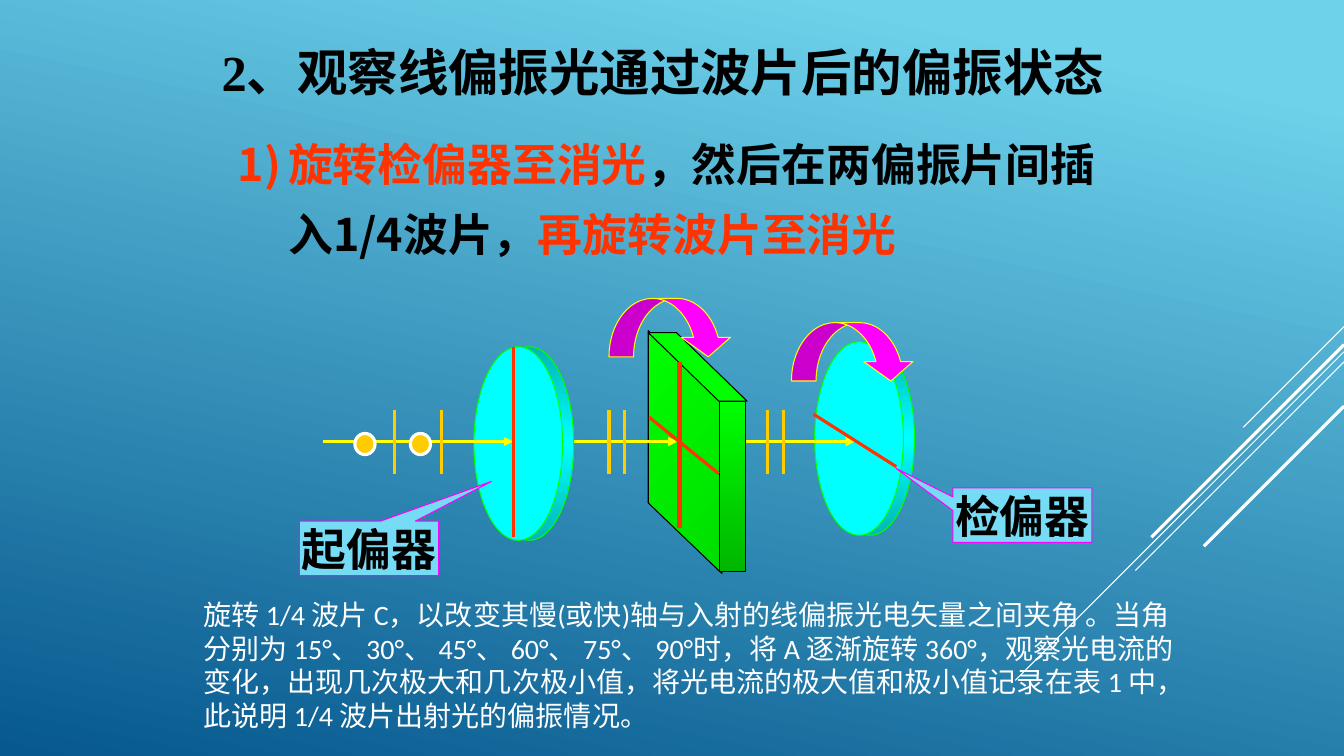
import copy

import pptx
import pptx.dml.color
import pptx.enum.shapes
import pptx.enum.text
import pptx.oxml
import pptx.oxml.ns
import pptx.util

RGBColor = pptx.dml.color.RGBColor
Inches = pptx.util.Inches
Pt = pptx.util.Pt
Preset = pptx.enum.shapes.MSO_SHAPE
qn = pptx.oxml.ns.qn

BLACK = RGBColor(0x00, 0x00, 0x00)
WHITE = RGBColor(0xFF, 0xFF, 0xFF)
SKY = RGBColor(0x6E, 0xD2, 0xEB)
NAVY = RGBColor(0x06, 0x58, 0x8E)
PALE_BLUE = RGBColor(0x76, 0xDB, 0xF4)
RED = RGBColor(0xFF, 0x33, 0x00)
YELLOW = RGBColor(0xFF, 0xFF, 0x00)
AMBER = RGBColor(0xFF, 0xCC, 0x00)
MAGENTA = RGBColor(0xFF, 0x00, 0xFF)
CYAN = RGBColor(0x00, 0xFF, 0xFF)
TEAL = RGBColor(0x00, 0xB6, 0xB6)
GREEN = RGBColor(0x00, 0xFF, 0x00)
MID_GREEN = RGBColor(0x00, 0xDE, 0x00)
DARK_GREEN = RGBColor(0x00, 0xB6, 0x00)
CJK = "Noto Sans CJK SC"
SERIF = "Times New Roman"


class Painter:
    """Draws the optical bench diagram and its text on one page."""

    def __init__(self, page):
        self.page = page
        self.shapes = page.shapes
        self.names = pptx.oxml.ns.nsdecls("a")

    def gradient(self, fill, element, stops, angle):
        fill.gradient()
        fill.gradient_angle = 360 - angle
        stop_list = element.find(".//" + qn("a:gsLst"))
        while len(stop_list) < len(stops):
            stop_list.append(copy.deepcopy(stop_list[0]))
        for stop, (position, color) in zip(fill.gradient_stops, stops):
            stop.position = position
            stop.color.rgb = color

    def paint(self, shape, fill, line, width=0.75, angle=90):
        shape.shadow.inherit = False
        if isinstance(fill, list):
            self.gradient(shape.fill, shape._element, fill, angle)
        else:
            shape.fill.solid()
            shape.fill.fore_color.rgb = fill
        shape.line.color.rgb = line
        shape.line.width = Pt(width)
        return shape

    def preset(self, kind, box, fill, line, width=0.75, adjust=()):
        shape = self.shapes.add_shape(kind, *map(Inches, box))
        for index, value in enumerate(adjust):
            shape.adjustments[index] = value
        return self.paint(shape, fill, line, width)

    def outline(self, points, fill, angle=90):
        corners = [(Inches(x), Inches(y)) for x, y in points]
        builder = self.shapes.build_freeform(*corners[0], scale=1.0)
        builder.add_line_segments(corners[1:], close=True)
        return self.paint(builder.convert_to_shape(), fill, BLACK, angle=angle)

    def line(self, start, end, color, width=2.25, arrow=False):
        connector = self.shapes.add_connector(
            pptx.enum.shapes.MSO_CONNECTOR.STRAIGHT, *map(Inches, start + end))
        connector.line.color.rgb = color
        connector.line.width = Pt(width)
        properties = connector._element.spPr
        if arrow:
            tail = pptx.oxml.parse_xml(f'<a:tailEnd {self.names} type="triangle"/>')
            properties.find(qn("a:ln")).append(tail)
        properties.append(pptx.oxml.parse_xml(f'<a:effectLst {self.names}/>'))

    def beam(self, start, end):
        self.line((start, 4.38), (end, 4.38), YELLOW, arrow=True)

    def ticks(self, *positions):
        for x in positions:
            self.line((x, 4.07), (x, 4.7), AMBER)

    def disc(self, left, top):
        rim = [(0, TEAL), (0.5, CYAN), (1, TEAL)]
        for shift, fill in ((0.11, rim), (0, CYAN)):
            self.preset(Preset.OVAL, (left + shift, top, 0.88, 1.92), fill, GREEN)

    def turn_arrow(self, left, top):
        self.preset(Preset.CURVED_DOWN_ARROW, (left, top, 1.23, 0.58), MAGENTA, YELLOW,
                    adjust=(0.421, 0.843, 0.333))

    def compose(self, frame, pieces, size, font, bold=True):
        para = frame.paragraphs[0]
        for text, color in pieces:
            span = para.add_run()
            span.text = text
            if len(pieces) > 1:
                span.font.color.rgb = color
        para.font.size = Pt(size)
        para.font.bold = bold
        if len(pieces) == 1:
            para.font.color.rgb = pieces[0][1]
        para.font.name = font
        east = pptx.oxml.parse_xml(f'<a:ea {self.names} typeface="{CJK}"/>')
        para._p.pPr.find(qn("a:defRPr")).append(east)
        return para

    def text(self, box, pieces, size, font, bold=True, wrap=True):
        frame = self.shapes.add_textbox(*map(Inches, box)).text_frame
        frame.word_wrap = wrap
        return self.compose(frame, pieces, size, font, bold)

    def number(self, para, color):
        properties = para._p.pPr
        properties.set("marL", str(Inches(0.5)))
        properties.set("indent", str(-Inches(0.5)))
        for markup in (f'<a:buClr {self.names}><a:srgbClr val="{color}"/></a:buClr>',
                       f'<a:buFont {self.names} typeface="{CJK}"/>',
                       f'<a:buAutoNum {self.names} type="arabicParenR"/>'):
            properties.find(qn("a:defRPr")).addprevious(pptx.oxml.parse_xml(markup))

    def callout(self, left, top, label, adjust):
        shape = self.preset(Preset.RECTANGULAR_CALLOUT, (left, top, 1.38, 0.54),
                            PALE_BLUE, MAGENTA, adjust=adjust)
        frame = shape.text_frame
        frame.word_wrap = False
        frame.vertical_anchor = pptx.enum.text.MSO_ANCHOR.MIDDLE
        para = self.compose(frame, [(label, BLACK)], 32, SERIF)
        para.alignment = pptx.enum.text.PP_ALIGN.CENTER


deck = pptx.Presentation()
deck.slide_width, deck.slide_height = Inches(13.33), Inches(7.5)
page = deck.slides.add_slide(deck.slide_layouts[6])
painter = Painter(page)
painter.gradient(page.background.fill, page._element, [(0.1, SKY), (1, NAVY)], 102)

for top, run, width in ((3.24, 1, 0.75), (3.49, 3.26, 0.75), (3.59, 2.07, 0.75),
                        (3.42, 1.91, 2.25), (4.03, 1.39, 2.25)):
    painter.line((13.33, top), (13.33 - run, top + run), WHITE, width)

painter.disc(8.08, 3.39)
painter.beam(6.59, 8.48)
painter.text((2.1, 0.36, 9.07, 0.71), [("2、观察线偏振光通过波片后的偏振状态", BLACK)],
             36, SERIF, wrap=False)
step = painter.text((2.26, 1.15, 9.1, 1.5),
                    [("旋转检偏器至消光", RED),
                     ("，然后在两偏振片间插入1/4波片，", BLACK),
                     ("再旋转波片至消光", RED)], 32, CJK)
step.line_spacing = 1.3
painter.number(step, RED)
painter.callout(9.45, 4.84, "检偏器", (-0.907, -0.856))

painter.outline([(6.43, 4.99), (7.16, 5.69), (7.16, 3.98), (6.43, 3.28)],
                [(0, GREEN), (1, MID_GREEN)], 45)
painter.outline([(6.71, 3.3), (7.41, 3.98), (7.13, 3.98), (6.43, 3.3)], GREEN)
painter.preset(Preset.RECTANGLE, (7.14, 3.98, 0.25, 1.69),
               [(0, GREEN), (1, DARK_GREEN)], BLACK)
painter.line((6.74, 3.59), (6.74, 5.24), RED, 3)
painter.beam(5.33, 6.72)
painter.turn_arrow(7.85, 3.2)

painter.disc(4.7, 3.44)
painter.beam(3.2, 5.09)
painter.callout(2.97, 5.17, "起偏器", (0.879, -1.228))
painter.line((5.09, 5.33), (5.09, 3.44), RED)
painter.ticks(3.91, 4.38)
for left in (3.52, 4.07):
    painter.preset(Preset.OVAL, (left, 4.3, 0.2, 0.21), AMBER, WHITE, 2.25)
painter.ticks(6.04, 6.19)
painter.line((8.07, 4.11), (8.89, 4.63), RED)
painter.ticks(7.61, 7.77)
painter.turn_arrow(6.04, 2.96)
painter.line((6.44, 4.14), (7.13, 4.7), RED)

painter.text((1.92, 5.88, 10, 1.45), [(
    "旋转 1/4 波片 C，以改变其慢(或快)轴与入射的线偏振光电矢量之间夹角 。"
    "当角分别为 15°、 30°、 45°、 60°、 75°、 90°时，将 A 逐渐旋转 360°，"
    "观察光电流的变化，出现几次极大和几次极小值，将光电流的极大值和极小值"
    "记录在表 1 中，此说明 1/4 波片出射光的偏振情况。", WHITE)],
    20, "Calibri", bold=False)

deck.save("out.pptx")
